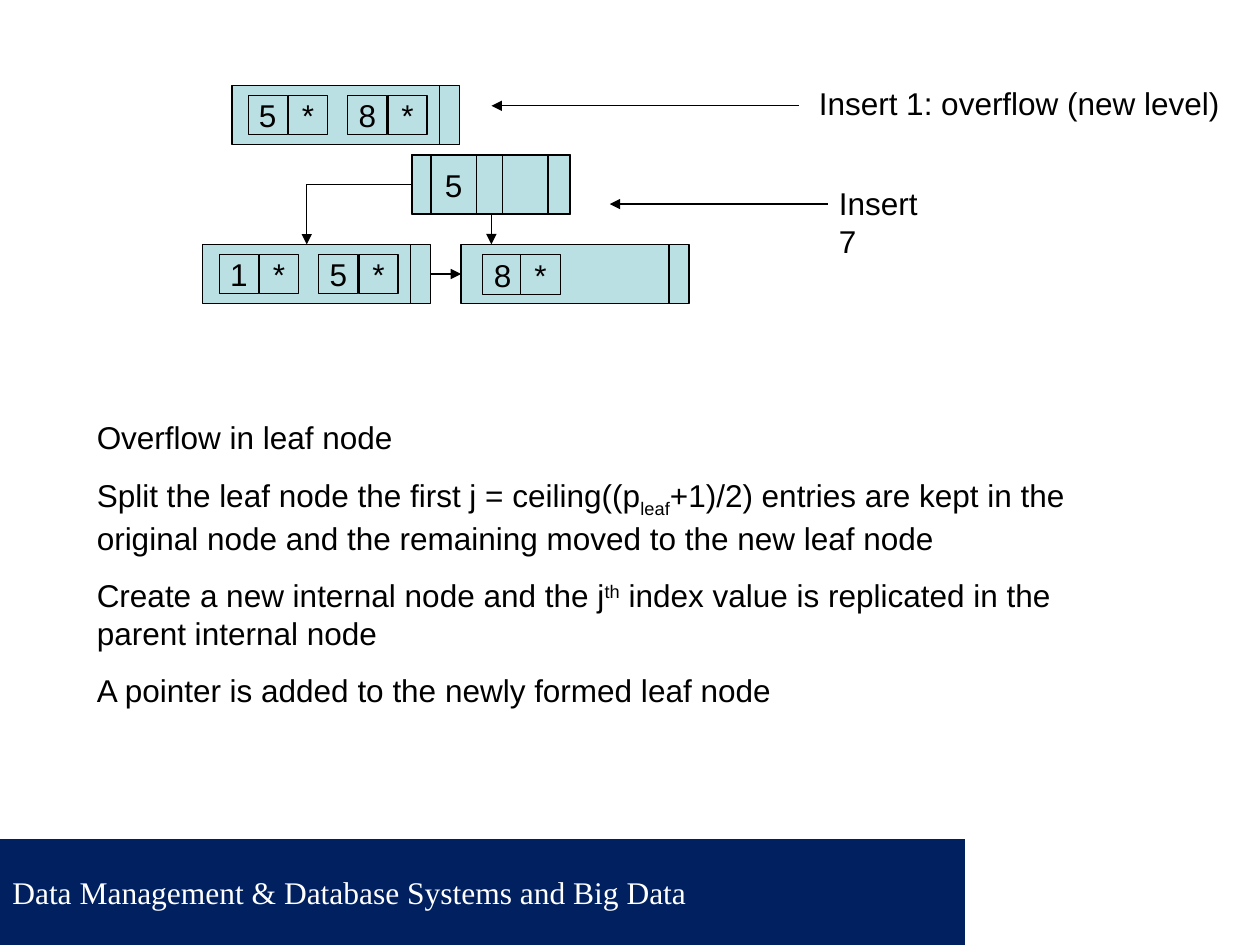
from lxml import etree
from pptx import Presentation
from pptx import util as u
from pptx.dml.color import RGBColor
from pptx.enum import shapes, text
from pptx.oxml.ns import qn

BLACK = RGBColor(0x00, 0x00, 0x00)
WHITE = RGBColor(0xFF, 0xFF, 0xFF)
NAVY = RGBColor(0x00, 0x20, 0x60)
NODE_BLUE = RGBColor(0xBB, 0xE0, 0xE3)

TOP, LEFT, BOTTOM, RIGHT = range(4)  # connection sites of a rectangle
NODE_HEIGHT = 0.47
LEAF_WIDTH, POINTER_WIDTH = 1.65, 0.16
CELL_TOP, ENTRY_STEP = 0.08, 0.79


class TreeSlide:
    font_format = {"name": "Arial", "size": u.Pt(18)}
    line_width = u.Pt(0.75)

    def __init__(self, slide):
        self.slide = slide

    def add_words(self, paragraph, wording, color=BLACK, baseline=None, **changes):
        run = paragraph.add_run()
        run.text = wording
        for key, value in {**self.font_format, **changes}.items():
            setattr(run.font, key, value)
        run.font.color.rgb = color
        if baseline is not None:
            run._r.get_or_add_rPr().set("baseline", str(baseline * 1000))

    def box(self, x, y, width, height, fill=NODE_BLUE, outlined=True):
        box = self.slide.shapes.add_shape(
            shapes.MSO_SHAPE.RECTANGLE, *map(u.Inches, (x, y, width, height)))
        box.shadow.inherit = False
        box.fill.solid()
        box.fill.fore_color.rgb = fill
        if outlined:
            box.line.color.rgb = BLACK
            box.line.width = self.line_width
        else:
            box.line.fill.background()
        return box

    def cell(self, x, y, width, height, wording):
        frame = self.box(x, y, width, height).text_frame
        frame.word_wrap = False
        frame.vertical_anchor = text.MSO_ANCHOR.MIDDLE
        frame.paragraphs[0].alignment = text.PP_ALIGN.CENTER
        self.add_words(frame.paragraphs[0], wording)

    def leaf(self, x, y, keys, inset=0.13, size=0.31, star_step=0.32):
        """Draw a leaf node; return its body and its next-leaf pointer."""
        body = self.box(x, y, LEAF_WIDTH, NODE_HEIGHT)
        pointer = self.box(x + LEAF_WIDTH, y, POINTER_WIDTH, NODE_HEIGHT)
        for index, key in enumerate(keys):
            entry = x + inset + index * ENTRY_STEP
            self.cell(entry, y + CELL_TOP, size, size, key)
            self.cell(entry + star_step, y + CELL_TOP, size, size, "*")
        return body, pointer

    def label(self, x, y, width, height, paragraphs, wrap=False, space=0):
        frame = self.slide.shapes.add_textbox(
            *map(u.Inches, (x, y, width, height))).text_frame
        frame.word_wrap = wrap
        for index, runs in enumerate(paragraphs):
            paragraph = frame.add_paragraph() if index else frame.paragraphs[0]
            paragraph.space_before = u.Pt(space)
            for wording, baseline in runs:
                self.add_words(paragraph, wording, baseline=baseline)

    def arrow(self, start, end, begin=None, finish=None, bent=False):
        kind = shapes.MSO_CONNECTOR.ELBOW if bent else shapes.MSO_CONNECTOR.STRAIGHT
        arrow = self.slide.shapes.add_connector(kind, *map(u.Inches, start + end))
        if begin:
            arrow.begin_connect(*begin)
        if finish:
            arrow.end_connect(*finish)
        arrow.line.color.rgb = BLACK
        arrow.line.width = self.line_width
        properties = arrow._element.spPr
        if bent:  # a single corner
            properties.find(qn("a:prstGeom")).set("prst", "bentConnector2")
        etree.SubElement(properties.find(qn("a:ln")), qn("a:tailEnd"), type="triangle")
        etree.SubElement(properties, qn("a:effectLst"))

    def footer(self, wording):
        band = self.box(0, 6.66, 10, 0.84, NAVY, outlined=False)
        band.text_frame.vertical_anchor = text.MSO_ANCHOR.MIDDLE
        paragraph = band.text_frame.paragraphs[0]
        paragraph.alignment = text.PP_ALIGN.LEFT
        self.add_words(paragraph, wording, WHITE, name="Times New Roman")
        self.box(7.66, 6.66, 2.34, 0.84, WHITE, outlined=False)


def main():
    deck = Presentation()
    deck.slide_width, deck.slide_height = u.Inches(10), u.Inches(7.5)
    tree = TreeSlide(deck.slides.add_slide(deck.slide_layouts[6]))

    tree.footer("Data Management & Database Systems and Big Data")

    # Leaf before the overflow
    tree.leaf(1.84, 0.68, "58")

    # Leaves after the split
    left_leaf, next_pointer = tree.leaf(1.61, 1.94, "15")
    right_leaf, _ = tree.leaf(3.66, 1.94, "8", inset=0.17, size=0.32, star_step=0.3)

    # New internal node
    parent = tree.box(3.27, 1.23, 1.26, NODE_HEIGHT)
    tree.box(3.27, 1.23, 0.16, NODE_HEIGHT)
    tree.cell(3.42, 1.23, 0.36, NODE_HEIGHT, "5")
    for x, width in ((3.99, 0.36), (4.35, 0.17)):
        tree.box(x, 1.23, width, NODE_HEIGHT)

    # Tree pointers
    tree.arrow((3.27, 1.47), (2.44, 1.94), (parent, LEFT), (left_leaf, TOP), bent=True)
    tree.arrow((3.9, 1.7), (3.9, 1.94), (parent, BOTTOM))
    tree.arrow((3.43, 2.17), (3.66, 2.17), (next_pointer, RIGHT), (right_leaf, LEFT))

    # Insert steps
    tree.label(6.4, 0.62, 3.38, 0.4, [[("Insert 1: overflow (new level)", None)]])
    tree.arrow((6.34, 0.84), (3.9, 0.84))
    tree.label(6.56, 1.41, 1.03, 0.4, [[("Insert 7", None)]])
    tree.arrow((6.57, 1.62), (4.84, 1.62))

    # Explanation
    tree.label(0.67, 3.27, 8.27, 2.41, [
        [("Overflow in leaf node", None)],
        [("Split the leaf node the first j = ceiling((p", None), ("leaf", -25),
         ("+1)/2) entries are kept in the original node and the remaining "
          "moved to the new leaf node", None)],
        [("Create a new internal node and the j", None), ("th", 30),
         (" index value is replicated in the parent internal node", None)],
        [("A pointer is added to the newly formed leaf node", None)],
    ], wrap=True, space=11.2)

    deck.save("out.pptx")


if __name__ == "__main__":
    main()
